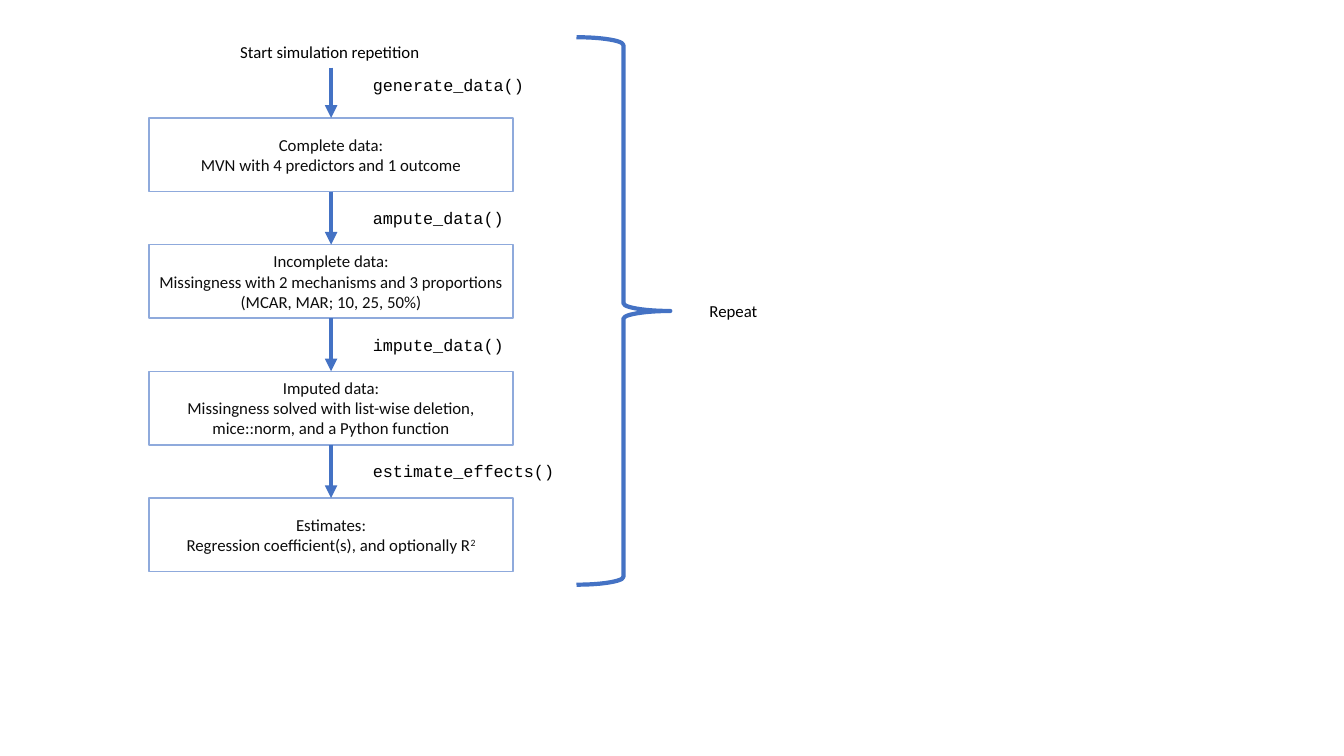
from lxml.etree import SubElement
from pptx import Presentation
from pptx.dml.color import RGBColor
from pptx.enum.shapes import MSO_CONNECTOR as CONNECTOR, MSO_SHAPE as SHAPE
from pptx.enum.text import MSO_ANCHOR as ANCHOR, MSO_AUTO_SIZE as AUTO_SIZE, PP_ALIGN as ALIGN
from pptx.oxml.ns import qn
from pptx.util import Pt

WHITE = RGBColor(0xFF, 0xFF, 0xFF)
BLACK = RGBColor(0x00, 0x00, 0x00)
STAGE_TEXT = RGBColor(0x0D, 0x0D, 0x0D)
STAGE_BORDER = RGBColor(0x8F, 0xAA, 0xDC)
BLUE = RGBColor(0x44, 0x72, 0xC4)

STAGE_LEFT, STAGE_TOP, STAGE_WIDTH, STAGE_HEIGHT = 106.5, 84.2, 260, 52.6
STAGE_PITCH = 90.5
CALL_LEFT = 259.2
LABEL_HEIGHT = 21.8
TEXT_SIZE = 12

# function call, its distance above the stage, its width, stage paragraphs
STEPS = [
    ("generate_data()", 34.5, 134.6,
     ["Complete data:", "MVN with 4 predictors and 1 outcome"]),
    ("ampute_data()", 30, 134.6,
     ["Incomplete data:\vMissingness with 2 mechanisms and 3 proportions "
      "(MCAR, MAR; 10, 25, 50%)"]),
    ("impute_data()", 30, 134.6,
     ["Imputed data:\vMissingness solved with list-wise deletion, "
      "mice::norm, and a Python function"]),
    ("estimate_effects()", 30, 152.6,
     ["Estimates:", "Regression coefficient(s), and optionally R^2"]),
]


def write(frame, paragraphs, font="Calibri", color=BLACK, align=None):
    for index, content in enumerate(paragraphs):
        paragraph = frame.paragraphs[0] if index == 0 else frame.add_paragraph()
        if align is not None:
            paragraph.alignment = align
        base, _, superscript = content.partition("^")
        paragraph.text = base
        if superscript:
            raised = paragraph.add_run()
            raised.text = superscript
            raised._r.get_or_add_rPr().set("baseline", "30000")
        for run in paragraph.runs:
            run.font.name = font
            run.font.size = Pt(TEXT_SIZE)
            run.font.color.rgb = color
        for line_break in paragraph._p.findall(qn("a:br")):
            SubElement(line_break, qn("a:rPr"), sz=str(TEXT_SIZE * 100))


def add_label(slide, content, left, top, width, wrap=False, **text_format):
    label = slide.shapes.add_textbox(Pt(left), Pt(top), Pt(width), Pt(LABEL_HEIGHT))
    label.text_frame.word_wrap = wrap
    label.text_frame.auto_size = AUTO_SIZE.SHAPE_TO_FIT_TEXT
    write(label.text_frame, [content], **text_format)
    return label


def add_stage(slide, paragraphs, top):
    stage = slide.shapes.add_shape(
        SHAPE.RECTANGLE, Pt(STAGE_LEFT), Pt(top), Pt(STAGE_WIDTH), Pt(STAGE_HEIGHT))
    stage.shadow.inherit = False
    stage.fill.solid()
    stage.fill.fore_color.rgb = WHITE
    stage.line.color.rgb = STAGE_BORDER
    stage.line.width = Pt(1)
    stage.text_frame.word_wrap = True
    stage.text_frame.vertical_anchor = ANCHOR.MIDDLE
    write(stage.text_frame, paragraphs, color=STAGE_TEXT, align=ALIGN.CENTER)
    return stage


def add_arrow(slide, source, target):
    arrow = slide.shapes.add_connector(CONNECTOR.STRAIGHT, 0, 0, 0, 0)
    arrow.begin_connect(source, 2)
    arrow.end_connect(target, 0)
    arrow.line.color.rgb = BLUE
    arrow.line.width = Pt(3)
    SubElement(arrow.line._get_or_add_ln(), qn("a:tailEnd"), type="triangle")
    SubElement(arrow._element.spPr, qn("a:effectLst"))


def add_repeat_brace(slide):
    brace = slide.shapes.add_shape(
        SHAPE.LEFT_BRACE, Pt(411.8), Pt(26.6), Pt(67), Pt(391))
    brace.rotation = 180
    brace.shadow.inherit = False
    brace.fill.background()
    brace.line.color.rgb = BLUE
    brace.line.width = Pt(3)


def main():
    presentation = Presentation()
    presentation.slide_width, presentation.slide_height = Pt(960), Pt(540)
    slide = presentation.slides.add_slide(presentation.slide_layouts[6])

    previous = add_label(slide, "Start simulation repetition", 164.5, 26.6, 144)
    for index, (call, rise, call_width, paragraphs) in enumerate(STEPS):
        top = STAGE_TOP + index * STAGE_PITCH
        stage = add_stage(slide, paragraphs, top)
        add_arrow(slide, previous, stage)
        add_label(slide, call, CALL_LEFT, top - rise, call_width,
                  wrap=True, font="Courier New")
        previous = stage

    add_repeat_brace(slide)
    add_label(slide, "Repeat", 499.7, 211, 51.8)
    presentation.save("out.pptx")


if __name__ == "__main__":
    main()
